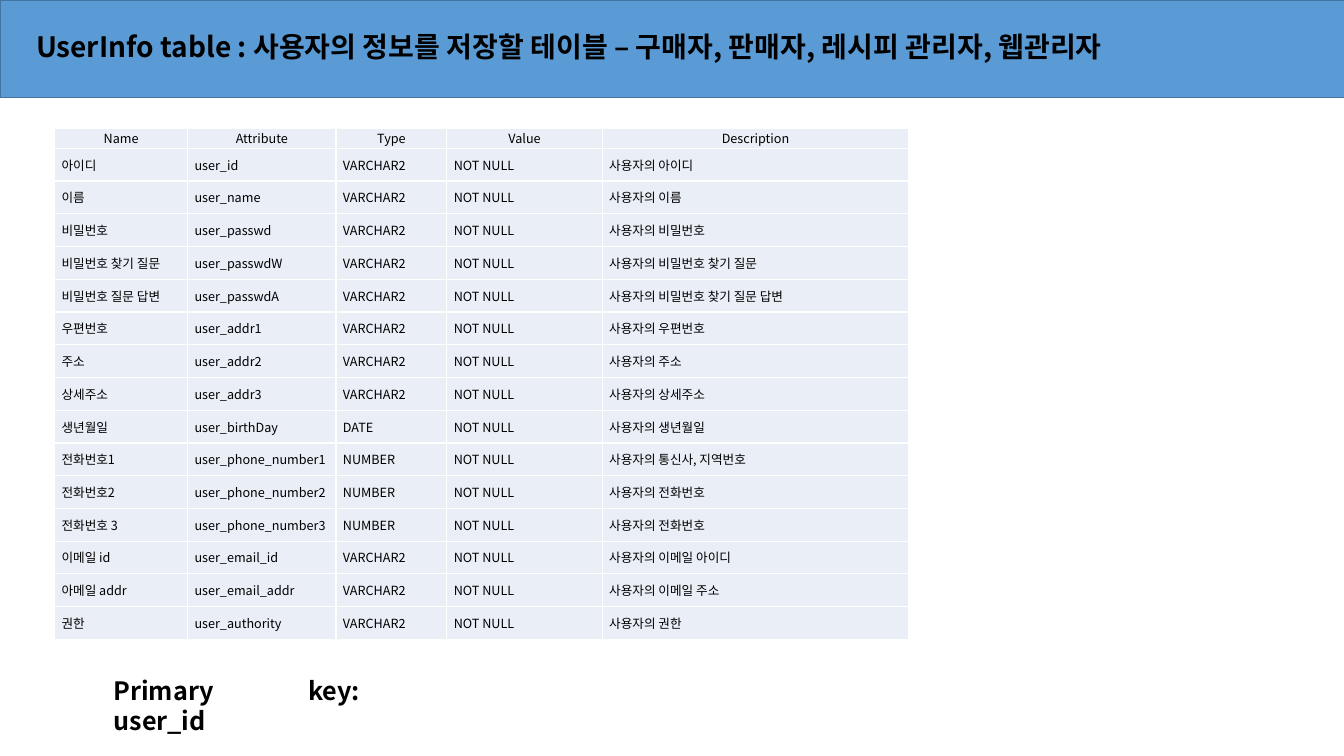
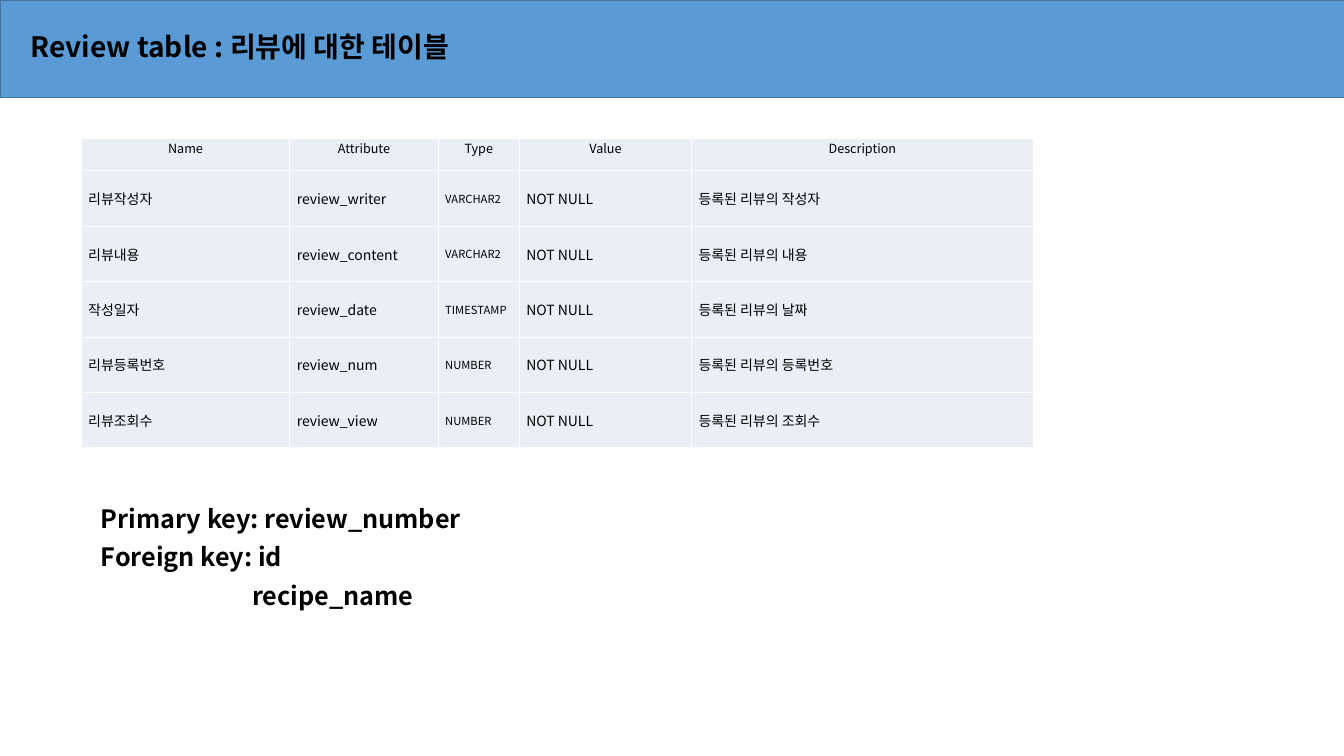
from dataclasses import dataclass

import pptx
import pptx.dml.color
import pptx.enum.shapes
import pptx.enum.text
import pptx.oxml.ns
import pptx.presentation
import pptx.slide
import pptx.table
import pptx.text.text
import pptx.util
from lxml import etree

Pt = pptx.util.Pt
RGBColor = pptx.dml.color.RGBColor
Align = pptx.enum.text.PP_ALIGN
Anchor = pptx.enum.text.MSO_ANCHOR
qn = pptx.oxml.ns.qn

# Shared style
FONT = "Noto Sans CJK KR"
BLACK = RGBColor(0x00, 0x00, 0x00)
WHITE = RGBColor(0xFF, 0xFF, 0xFF)
BAND_FILL = RGBColor(0x5B, 0x9B, 0xD5)
BAND_LINE = RGBColor(0x43, 0x73, 0x9E)
CELL_FILL = RGBColor(0xEA, 0xEF, 0xF7)
HEADINGS = ("Name", "Attribute", "Type", "Value", "Description")


@dataclass(frozen=True)
class Field:
    name: str
    attribute: str
    type: str
    description: str
    value: str = "NOT NULL"

    def cells(self) -> tuple[str, ...]:
        return self.name, self.attribute, self.type, self.value, self.description


@dataclass(frozen=True)
class KeyLine:
    text: str
    margin: float = 0
    indent: float = 0


@dataclass(frozen=True)
class TableSlide:
    title: str
    title_left: float
    title_width: float
    table_left: float
    table_top: float
    column_widths: tuple[float, ...]
    column_sizes: tuple[float, ...]
    header_height: float
    row_height: float
    fields: tuple[Field, ...]
    keys_box: tuple[float, float, float, float]
    keys: tuple[KeyLine, ...]


USER_INFO = TableSlide(
    title="UserInfo table : 사용자의 정보를 저장할 테이블 – 구매자, 판매자, 레시피 관리자, 웹관리자",
    title_left=18.7, title_width=873.4,
    table_left=39, table_top=92,
    column_widths=(95, 106, 79.2, 111, 219), column_sizes=(9,) * 5,
    header_height=13.9, row_height=23.4,
    fields=(
        Field("아이디", "user_id", "VARCHAR2", "사용자의 아이디"),
        Field("이름", "user_name", "VARCHAR2", "사용자의 이름"),
        Field("비밀번호", "user_passwd", "VARCHAR2", "사용자의 비밀번호"),
        Field("비밀번호 찾기 질문", "user_passwdW", "VARCHAR2", "사용자의 비밀번호 찾기 질문"),
        Field("비밀번호 질문 답변", "user_passwdA", "VARCHAR2", "사용자의 비밀번호 찾기 질문 답변"),
        Field("우편번호", "user_addr1", "VARCHAR2", "사용자의 우편번호"),
        Field("주소", "user_addr2", "VARCHAR2", "사용자의 주소"),
        Field("상세주소", "user_addr3", "VARCHAR2", "사용자의 상세주소"),
        Field("생년월일", "user_birthDay", "DATE", "사용자의 생년월일"),
        Field("전화번호1", "user_phone_number1", "NUMBER", "사용자의 통신사, 지역번호"),
        Field("전화번호2", "user_phone_number2", "NUMBER", "사용자의 전화번호"),
        Field("전화번호 3", "user_phone_number3", "NUMBER", "사용자의 전화번호"),
        Field("이메일 id", "user_email_id", "VARCHAR2", "사용자의 이메일 아이디"),
        Field("아메일 addr", "user_email_addr", "VARCHAR2", "사용자의 이메일 주소"),
        Field("권한", "user_authority", "VARCHAR2", "사용자의 권한"),
    ),
    keys_box=(74, 479, 190, 29),
    keys=(KeyLine("Primary key: user_id"),),
)

REVIEW = TableSlide(
    title="Review table : 리뷰에 대한 테이블",
    title_left=15, title_width=731.5,
    table_left=58, table_top=99,
    column_widths=(149, 106, 58, 123, 244), column_sizes=(10, 10, 8, 10, 10),
    header_height=23, row_height=39.6,
    fields=(
        Field("리뷰작성자", "review_writer", "VARCHAR2", "등록된 리뷰의 작성자"),
        Field("리뷰내용", "review_content", "VARCHAR2", "등록된 리뷰의 내용"),
        Field("작성일자", "review_date", "TIMESTAMP", "등록된 리뷰의 날짜"),
        Field("리뷰등록번호", "review_num", "NUMBER", "등록된 리뷰의 등록번호"),
        Field("리뷰조회수", "review_view", "NUMBER", "등록된 리뷰의 조회수"),
    ),
    keys_box=(25, 355.7, 480, 85),
    keys=(
        KeyLine("Primary key: review_number", indent=40),
        KeyLine("Foreign key: id", indent=40),
        KeyLine("recipe_name", margin=148),
    ),
)


def write(paragraph: pptx.text.text._Paragraph, text: str, *, size: float,
          bold: bool = False, align: Align = Align.LEFT, space_after: float = 0,
          line_spacing: float = 1, margin: float = 0, indent: float = 0) -> None:
    properties = paragraph._p.get_or_add_pPr()
    properties.set("marL", str(Pt(margin)))
    properties.set("indent", str(Pt(indent)))
    paragraph.alignment = align
    paragraph.space_after = Pt(space_after)
    paragraph.line_spacing = line_spacing
    run = paragraph.add_run()
    run.text = text
    run.font.size = Pt(size)
    run.font.bold = bold
    run.font.color.rgb = BLACK
    run.font.name = FONT
    etree.SubElement(run._r.get_or_add_rPr(), qn("a:ea"), typeface=FONT)


def add_text_frame(slide: pptx.slide.Slide, left: float, top: float,
                   width: float, height: float) -> pptx.text.text.TextFrame:
    text_box = slide.shapes.add_textbox(Pt(left), Pt(top), Pt(width), Pt(height))
    text_box.text_frame.word_wrap = True
    return text_box.text_frame


def add_title_band(slide: pptx.slide.Slide, content: TableSlide) -> None:
    band = slide.shapes.add_shape(pptx.enum.shapes.MSO_SHAPE.RECTANGLE,
                                  Pt(0), Pt(0), Pt(968.4), Pt(69.8))
    band.shadow.inherit = False
    band.fill.solid()
    band.fill.fore_color.rgb = BAND_FILL
    band.line.color.rgb = BAND_LINE
    band.line.width = Pt(1)
    frame = add_text_frame(slide, content.title_left, 14.4, content.title_width, 41)
    frame.vertical_anchor = Anchor.MIDDLE
    write(frame.paragraphs[0], content.title, size=20, bold=True, line_spacing=0.9)


def style_cell(cell: pptx.table._Cell, anchor: Anchor) -> None:
    cell.margin_left = cell.margin_right = Pt(5)
    cell.margin_top = cell.margin_bottom = Pt(0)
    cell.vertical_anchor = anchor
    properties = cell._tc.get_or_add_tcPr()
    for side in ("lnL", "lnR", "lnT", "lnB"):
        line = etree.SubElement(properties, qn(f"a:{side}"), w=str(Pt(1)))
        fill = etree.SubElement(line, qn("a:solidFill"))
        etree.SubElement(fill, qn("a:srgbClr"), val=str(WHITE))
    cell.fill.solid()
    cell.fill.fore_color.rgb = CELL_FILL


def add_field_table(slide: pptx.slide.Slide, content: TableSlide) -> None:
    rows = [HEADINGS, *(field.cells() for field in content.fields)]
    heights = [content.header_height] + [content.row_height] * len(content.fields)
    table = slide.shapes.add_table(
        len(rows), len(HEADINGS), Pt(content.table_left), Pt(content.table_top),
        Pt(sum(content.column_widths)), Pt(sum(heights))).table
    table.horz_banding = False
    for column, width in zip(table.columns, content.column_widths):
        column.width = Pt(width)
    for row_index, (texts, height) in enumerate(zip(rows, heights)):
        table.rows[row_index].height = Pt(height)
        is_header = row_index == 0
        for column_index, text in enumerate(texts):
            cell = table.cell(row_index, column_index)
            style_cell(cell, Anchor.TOP if is_header else Anchor.MIDDLE)
            write(cell.text_frame.paragraphs[0], text, space_after=6,
                  size=9 if is_header else content.column_sizes[column_index],
                  align=Align.CENTER if is_header else Align.LEFT)


def add_keys(slide: pptx.slide.Slide, content: TableSlide) -> None:
    frame = add_text_frame(slide, *content.keys_box)
    frame.auto_size = pptx.enum.text.MSO_AUTO_SIZE.SHAPE_TO_FIT_TEXT
    for index, key in enumerate(content.keys):
        paragraph = frame.add_paragraph() if index else frame.paragraphs[0]
        write(paragraph, key.text, size=18, bold=True, align=Align.JUSTIFY,
              space_after=6, margin=key.margin, indent=key.indent)


def add_table_slide(presentation: pptx.presentation.Presentation,
                    content: TableSlide) -> None:
    slide = presentation.slides.add_slide(presentation.slide_layouts[6])
    add_title_band(slide, content)
    add_field_table(slide, content)
    add_keys(slide, content)


def main() -> None:
    presentation = pptx.Presentation()
    presentation.slide_width = Pt(960)
    presentation.slide_height = Pt(540)
    for content in (USER_INFO, REVIEW):
        add_table_slide(presentation, content)
    presentation.save("out.pptx")


if __name__ == "__main__":
    main()
